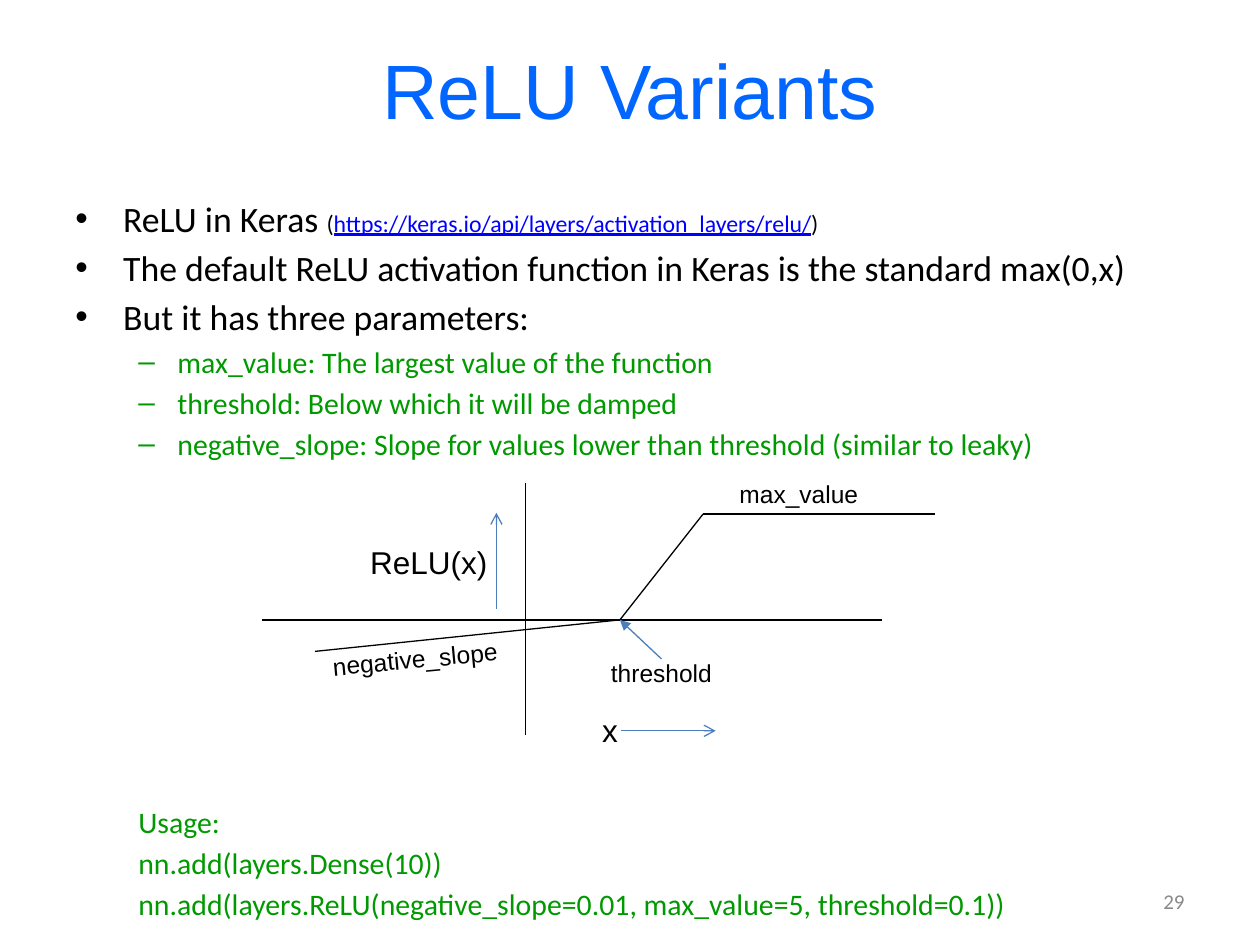
from dataclasses import dataclass
from itertools import pairwise

from lxml.etree import SubElement
from pptx import Presentation
from pptx.dml.color import RGBColor
from pptx.enum.shapes import MSO_CONNECTOR as Connector
from pptx.enum.text import MSO_ANCHOR as Anchor, MSO_AUTO_SIZE as AutoSize, PP_ALIGN as Align
from pptx.oxml.ns import qn
from pptx.util import Inches, Pt


@dataclass(frozen=True)
class Theme:
    heading_font: str = "Arial"
    body_font: str = "Calibri"
    title: str = "0066FF"
    text: str = "000000"
    detail: str = "009900"
    link: str = "0000FF"
    arrow: str = "4B7EBC"
    muted: str = "898989"
    title_size: float = 44
    bullet_size: float = 20.4
    detail_size: float = 17
    link_size: float = 13.6
    axis_size: float = 18
    label_size: float = 14
    number_size: float = 12
    line_width: float = 0.75


THEME = Theme()


def add_bullet(paragraph, character, left, hanging):
    properties = paragraph._p.get_or_add_pPr()
    properties.set("marL", str(Inches(left)))
    properties.set("indent", str(-Inches(hanging)))
    SubElement(properties, qn("a:buFont")).set("typeface", "Arial")
    SubElement(properties, qn("a:buChar")).set("char", character)


def add_run(paragraph, text, font, size, color, underline=None):
    run = paragraph.add_run()
    run.text = text
    run.font.name = font
    run.font.size = Pt(size)
    run.font.color.rgb = RGBColor.from_string(color)
    run.font.underline = underline


def add_text(shapes, box, paragraphs, font=THEME.heading_font, size=THEME.label_size,
             color=THEME.text, align=Align.LEFT, anchor=Anchor.TOP, wrap=True, rotation=0):
    """Each paragraph is a dict: runs as (text, format overrides), optional bullet, size, color."""
    shape = shapes.add_textbox(*map(Inches, box))
    shape.rotation = rotation
    frame = shape.text_frame
    frame.word_wrap = wrap
    frame.auto_size = AutoSize.NONE if wrap else AutoSize.SHAPE_TO_FIT_TEXT
    frame.vertical_anchor = anchor
    for index, item in enumerate(paragraphs):
        paragraph = frame.add_paragraph() if index else frame.paragraphs[0]
        paragraph.alignment = align
        base = {"font": font, "size": item.get("size", size), "color": item.get("color", color)}
        if "bullet" in item:
            add_bullet(paragraph, *item["bullet"])
        if index:
            paragraph.space_before = Pt(round(base["size"] * 0.18, 1))
        for text, overrides in item["runs"]:
            add_run(paragraph, text, **(base | overrides))
    return shape


def plain(text, **paragraph_format):
    return {"runs": [(text, {})], **paragraph_format}


def add_line(shapes, start, end, color=THEME.text, head=None):
    line = shapes.add_connector(Connector.STRAIGHT, *map(Inches, (*start, *end)))
    line.line.color.rgb = RGBColor.from_string(color)
    line.line.width = Pt(THEME.line_width)
    if head:
        SubElement(line.line._get_or_add_ln(), qn("a:tailEnd")).set("type", head)
    SubElement(line._element.spPr, qn("a:effectLst"))


def add_title(slide, box):
    add_text(slide.shapes, box, [plain("ReLU Variants")], size=THEME.title_size,
             color=THEME.title, align=Align.CENTER, anchor=Anchor.MIDDLE)


def add_bullets(slide, box):
    top = {"bullet": ("•", 0.38, 0.38)}
    detail = {"bullet": ("–", 0.81, 0.31), "size": THEME.detail_size, "color": THEME.detail}
    small = {"size": THEME.link_size}
    link = {**small, "color": THEME.link, "underline": True}
    paragraphs = [
        {"runs": [("ReLU in Keras ", {}), ("(", small),
                  ("https://keras.io/api/layers/activation_layers/relu/", link),
                  (")", small)], **top},
        plain("The default ReLU activation function in Keras is the standard max(0,x)", **top),
        plain("But it has three parameters:", **top),
        plain("max_value: The largest value of the function", **detail),
        plain("threshold: Below which it will be damped", **detail),
        plain("negative_slope: Slope for values lower than threshold (similar to leaky)", **detail),
    ]
    add_text(slide.shapes, box, paragraphs, font=THEME.body_font, size=THEME.bullet_size)


def add_diagram(slide, box):
    left, top, width, height = box
    shapes = slide.shapes.add_group_shape().shapes

    def at(x, y):
        return left + x, top + y

    # Axes
    axis_y, axis_x = 1.17, 2.09
    add_line(shapes, at(axis_x, 0.08), at(axis_x, 2.08))
    add_line(shapes, at(0, axis_y), at(4.92, axis_y))

    # Function: damped part, slope, ceiling
    threshold = (2.84, axis_y)
    curve = [(0.42, 1.42), threshold, (3.5, 0.33), (width, 0.33)]
    for start, end in pairwise(curve):
        add_line(shapes, at(*start), at(*end))

    # Arrows
    arrows = [
        ((3.17, 1.48), threshold, "triangle"),
        ((2.85, 2.05), (3.6, 2.05), "arrow"),
        ((1.86, 1.08), (1.86, 0.32), "arrow"),
    ]
    for start, end, head in arrows:
        add_line(shapes, at(*start), at(*end), color=THEME.arrow, head=head)

    # Labels
    labels = [
        ("threshold", 2.67, 1.42, 1.01, 0.34, THEME.label_size, 0),
        ("negative_slope", 0.46, 1.31, 1.52, 0.34, THEME.label_size, 354.5),
        ("max_value", 3.69, 0, 1.15, 0.34, THEME.label_size, 0),
        ("x", 2.6, height - 0.4, 0.33, 0.4, THEME.axis_size, 0),
        ("ReLU(x)", 0.76, 0.51, 1.14, 0.4, THEME.axis_size, 0),
    ]
    for text, x, y, label_width, label_height, size, rotation in labels:
        add_text(shapes, (*at(x, y), label_width, label_height), [plain(text)],
                 size=size, wrap=False, rotation=rotation)


def add_usage(slide, box):
    lines = ["Usage:", "nn.add(layers.Dense(10))",
             "nn.add(layers.ReLU(negative_slope=0.01, max_value=5, threshold=0.1))"]
    add_text(slide.shapes, box, [plain(line) for line in lines], font=THEME.body_font,
             size=THEME.detail_size, color=THEME.detail)


def add_page_number(slide, box):
    add_text(slide.shapes, box, [plain("29")], font=THEME.body_font, size=THEME.number_size,
             color=THEME.muted, align=Align.RIGHT, anchor=Anchor.MIDDLE)


def main():
    presentation = Presentation()
    presentation.slide_width, presentation.slide_height = Inches(10), Inches(7.5)
    slide = presentation.slides.add_slide(presentation.slide_layouts[6])
    add_title(slide, (0.5, 0.08, 9, 1.25))
    add_bullets(slide, (0.5, 1.51, 9, 2.25))
    add_usage(slide, (1, 6.33, 7.5, 1.05))
    add_page_number(slide, (7.17, 6.95, 2.33, 0.4))
    add_diagram(slide, (2.08, 3.75, 5.34, 2.24))
    presentation.save("out.pptx")


if __name__ == "__main__":
    main()
